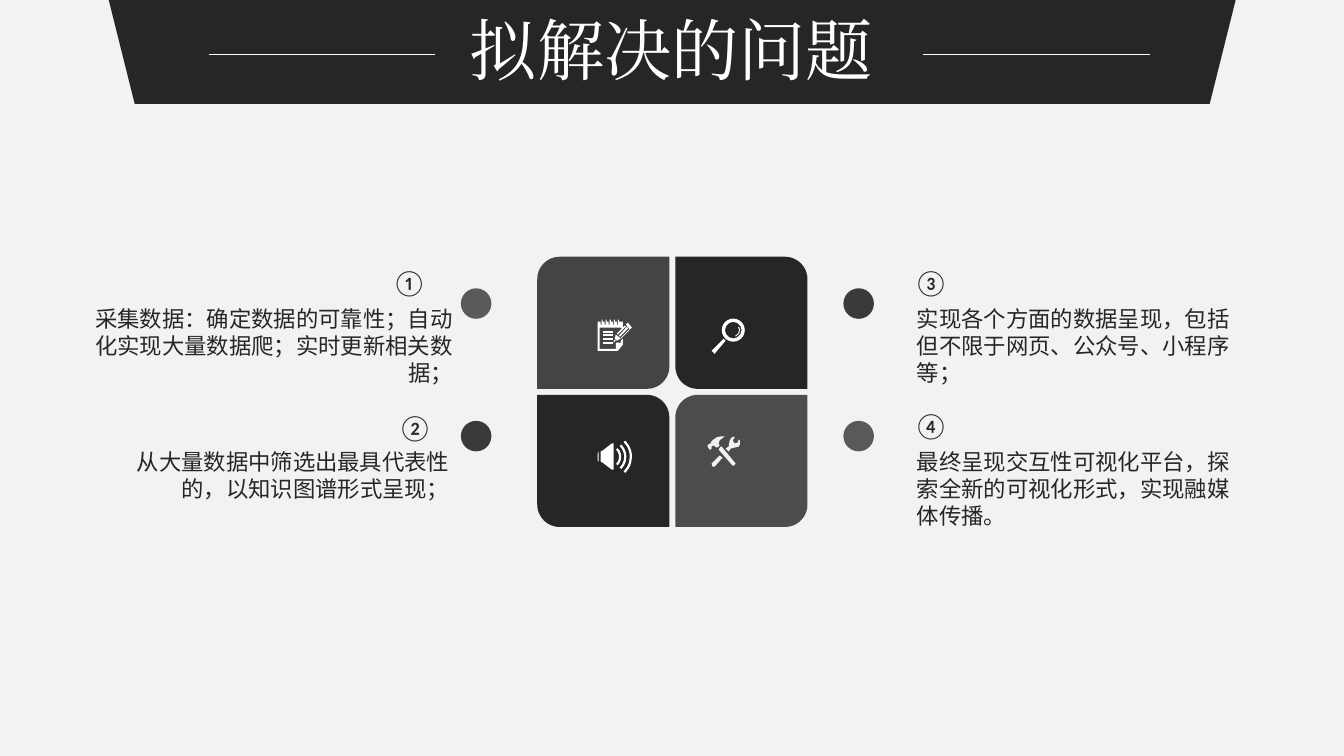
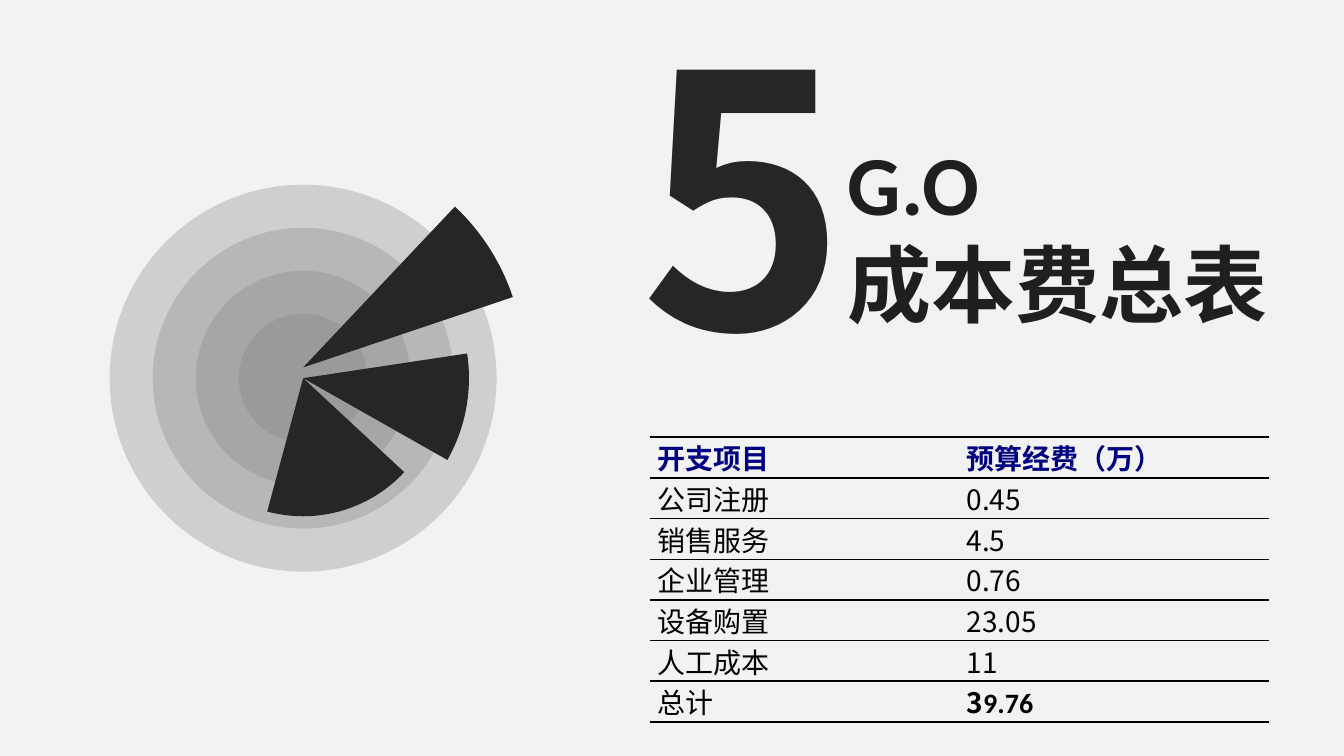
from dataclasses import dataclass
from typing import Optional

from lxml.etree import SubElement
from pptx import Presentation
from pptx.dml.color import RGBColor
from pptx.enum.shapes import MSO_CONNECTOR, MSO_SHAPE
from pptx.enum.text import MSO_ANCHOR, PP_ALIGN
from pptx.oxml import parse_xml
from pptx.oxml.ns import nsdecls, qn
from pptx.util import Cm, Pt

DARK = RGBColor(0x26, 0x26, 0x26)
INK = RGBColor(0x1F, 0x1F, 0x1F)
PALE = RGBColor(0xF2, 0xF2, 0xF2)
WHITE = RGBColor(0xFF, 0xFF, 0xFF)
BLACK = RGBColor(0, 0, 0)
GRAY = RGBColor(0x80, 0x80, 0x80)
NAVY = RGBColor(0, 0, 0x80)

SANS, HAN, SERIF = "Calibri", "Noto Sans CJK SC", "Times New Roman"
GRID = Cm(0.0254)  # one step of the icon drawings
TURN = 0.6  # adjustment value of one degree


@dataclass
class Font:
    size: float
    color: RGBColor
    name: str = SANS
    bold: bool = False


@dataclass
class Note:
    mark: str
    text: str
    left: float
    top: float
    width: float
    mark_x: float
    mark_y: float
    align: PP_ALIGN


@dataclass
class Icon:
    x: int
    y: int
    loops: list
    color: RGBColor = WHITE


@dataclass
class Slice:
    y: float
    size: float
    start: float
    end: float


# Slide content
BODY = Font(16, DARK)
MARK = Font(18.6, DARK)
LEFT, RIGHT = PP_ALIGN.LEFT, PP_ALIGN.RIGHT
NOTES = [
    Note("①", "采集数据：确定数据的可靠性；自动化实现大量数据爬；实时更新相关数据；",
         2.08, 7.57, 9.58, 5.49, 6.58, RIGHT),
    Note("②", "从大量数据中筛选出最具代表性的，以知识图谱形式呈现；",
         2.74, 11.18, 8.84, 5.64, 10.24, RIGHT),
    Note("③", "实现各个方面的数据呈现，包括但不限于网页、公众号、小程序等；",
         22.86, 7.57, 8.84, 22.78, 6.58, LEFT),
    Note("④", "最终呈现交互性可视化平台，探索全新的可视化形式，实现融媒体传播。",
         22.86, 11.18, 8.84, 22.78, 10.19, LEFT),
]
COSTS = [("开支项目", "预算经费（万）"), ("公司注册", "0.45"), ("销售服务", "4.5"),
         ("企业管理", "0.76"), ("设备购置", "23.05"), ("人工成本", "11"),
         ("总计", "39.76")]
EDGES = [1.5, 1, 1, 1, 1, 1, 1.5, 1]
SLICES = [Slice(9.26, 11.15, 313.35, 341.45), Slice(9.53, 8.36, 351.45, 29.55),
          Slice(9.53, 6.96, 42.89, 105.07)]

# Icon outlines, in grid steps from each icon's corner
TEETH = [(x + dx, y) for x in (20, 16, 12, 8, 4)
         for dx, y in ((1, 2), (1, 5), (1, 0), (0, 0), (0, 5), (-1, 5), (-1, 2))]
PAGE = [(23, 23), (18, 23), (18, 29), (2, 29), (2, 8), (23, 8), (23, 9), (25, 8),
        (25, 2), *TEETH, (0, 2), (0, 31), (20, 31), (25, 25), (25, 19), (23, 21)]
RULES = [[(5, y), (15, y), (15, y + 2), (5, y + 2)] for y in (11, 14, 18, 22)]
PENCIL = [
    [(23, 18), (23, 19), (32, 10), (31, 10)],
    [(29, 7), (21, 16), (22, 17), (30, 9)],
    [(19, 14), (20, 15), (28, 7), (27, 6)],
    [(23, 19), (18, 15), (17, 19), (19, 21)],
    [(15, 23), (18, 21), (17, 20)],
    [(30, 3), (28, 5), (32, 10), (34, 8)],
]
HORN = [
    [(14, 3), (5, 10), (3, 11), (3, 21), (5, 22), (14, 29), (16, 29), (16, 3)],
    [(0, 13), (0, 20), (1, 21), (1, 11)],
]
TOOLS = [
    [(5, 10), (7, 9), (10, 11), (11, 11), (13, 9), (12, 7), (13, 4), (18, 0),
     (14, 0), (10, 1), (7, 3), (5, 5), (4, 7), (2, 8), (1, 9), (1, 10), (3, 13),
     (4, 13), (5, 12)],
    [(15, 10), (14, 10), (12, 13), (26, 29), (27, 29), (29, 27)],
    [(33, 4), (32, 3), (31, 6), (28, 7), (26, 4), (28, 1), (28, 0), (25, 1),
     (23, 4), (22, 10), (19, 12), (22, 15), (24, 12), (28, 11), (32, 10), (33, 8)],
    [(5, 27), (6, 30), (8, 30), (16, 21), (13, 19)],
]
ICONS = [
    Icon(593, 317, [PAGE, *RULES, *PENCIL]),
    Icon(706, 316, [[(0, 32), (3, 35), (14, 22), (12, 20)]]),
    Icon(593, 437, HORN),
    Icon(701, 433, TOOLS, PALE),
]


# Drawing helpers
def paint(shape, color: RGBColor, alpha: int = 100) -> None:
    shape.shadow.inherit = False
    shape.fill.solid()
    shape.fill.fore_color.rgb = color
    shape.line.fill.background()
    if alpha < 100:
        tone = shape._element.spPr.find(qn("a:solidFill"))[0]
        SubElement(tone, qn("a:alpha")).set("val", str(alpha * 1000))


def block(slide, kind: MSO_SHAPE, left: float, top: float, width: float,
          height: float, color: RGBColor = DARK, alpha: int = 100):
    shape = slide.shapes.add_shape(kind, Cm(left), Cm(top), Cm(width), Cm(height))
    paint(shape, color, alpha)
    return shape


def disc(slide, kind: MSO_SHAPE, x: float, y: float, size: float,
         color: RGBColor = DARK, alpha: int = 100):
    """Draw a round shape about its centre."""
    return block(slide, kind, x - size / 2, y - size / 2, size, size, color, alpha)


def sweep(shape, start: float, end: float) -> None:
    shape.adjustments[0] = start * TURN
    shape.adjustments[1] = end * TURN


def arc(slide, x: float, y: float, size: float, start: float, end: float,
        width: float) -> None:
    shape = disc(slide, MSO_SHAPE.ARC, x, y, size)
    sweep(shape, start, end)
    shape.fill.background()
    shape.line.color.rgb = WHITE
    shape.line.width = Pt(width)


def style(run, font: Font) -> None:
    run.font.size = Pt(font.size)
    run.font.bold = font.bold
    run.font.name = font.name
    run.font.color.rgb = font.color
    props = run._r.get_or_add_rPr()
    east = SubElement(props, qn("a:ea"))
    east.set("typeface", font.name)
    props.find(qn("a:latin")).addnext(east)


def write(slide, text: str, left: float, top: float, width: float, height: float,
          font: Font, align: PP_ALIGN = LEFT, space: Optional[float] = None,
          anchor: MSO_ANCHOR = MSO_ANCHOR.TOP) -> None:
    box = slide.shapes.add_textbox(Cm(left), Cm(top), Cm(width), Cm(height))
    frame = box.text_frame
    frame.word_wrap = True
    frame.vertical_anchor = anchor
    frame.text = text
    for para in frame.paragraphs:
        para.alignment = align
        if space:
            para.line_spacing = space
        for run in para.runs:
            style(run, font)


def draw(slide, icon: Icon) -> None:
    for loop in icon.loops:
        spots = [(icon.x + x, icon.y + y) for x, y in loop]
        pen = slide.shapes.build_freeform(*spots[0], scale=GRID)
        pen.add_line_segments(spots[1:], close=True)
        paint(pen.convert_to_shape(), icon.color)


def rule(slide, left: float, right: float, y: float) -> None:
    line = slide.shapes.add_connector(
        MSO_CONNECTOR.STRAIGHT, Cm(left), Cm(y), Cm(right), Cm(y))
    line.line.color.rgb = WHITE
    line.line.width = Pt(0.5)
    SubElement(line._element.spPr, qn("a:effectLst"))


def border(cell, top: float, base: float) -> None:
    props = cell._tc.get_or_add_tcPr()
    for spot, (side, width) in enumerate(
            (("L", 0), ("R", 0), ("T", top), ("B", base))):
        ink = (f'<a:solidFill><a:srgbClr val="{BLACK}"/></a:solidFill>'
               if width else "<a:noFill/>")
        props.insert(spot, parse_xml(
            f'<a:ln{side} {nsdecls("a")} w="{Pt(width)}">{ink}</a:ln{side}>'))


def start(deck):
    slide = deck.slides.add_slide(deck.slide_layouts[6])
    slide.background.fill.solid()
    slide.background.fill.fore_color.rgb = PALE
    return slide


# Slide 1: problems to solve
def issues(deck) -> None:
    slide = start(deck)
    for i, alpha in enumerate((85, 100, 100, 81)):
        row, col = divmod(i, 2)
        tile = block(slide, MSO_SHAPE.ROUND_2_DIAG_RECTANGLE, 13.54 + 3.48 * col,
                     6.47 + 3.48 * row, 3.33, 3.33, DARK, alpha)
        tile.adjustments[row ^ col] = 0.17
        tile.adjustments[1 - (row ^ col)] = 0
    for icon in ICONS:
        draw(slide, icon)
    # Lens and sound waves
    lens = disc(slide, MSO_SHAPE.DONUT, 18.48, 8.32, 0.58, WHITE)
    lens.adjustments[0] = 0.14
    arc(slide, 18.48, 8.32, 0.32, 330, 70, 0.75)
    for size in (0.56, 0.82, 1.1):
        arc(slide, 15.35, 11.51, size, 315, 45, 1.6)
    # Title band
    band = block(slide, MSO_SHAPE.TRAPEZOID, 2.74, 0, 28.4, 2.62)
    band.rotation = 180
    write(slide, "拟解决的问题", 7.11, 0.3, 19.63, 2.11, Font(48, WHITE, SERIF),
          PP_ALIGN.CENTER, 0.9, MSO_ANCHOR.MIDDLE)
    for left in (5.26, 23.27):
        rule(slide, left, left + 5.71, 1.37)
    # Dots and notes
    for i, alpha in enumerate((74, 90, 90, 75)):
        col, row = divmod(i, 2)
        disc(slide, MSO_SHAPE.OVAL, 12 + 9.64 * col, 7.65 + 3.34 * row, 0.77,
             DARK, alpha)
    for note in NOTES:
        write(slide, note.text, note.left, note.top, note.width, 2.31, BODY, note.align)
        write(slide, note.mark, note.mark_x, note.mark_y, 5.51, 1.04, MARK, note.align)


# Slide 2: cost table
def costs(deck) -> None:
    slide = start(deck)
    frame = slide.shapes.add_table(
        len(COSTS), 2, Cm(16.38), Cm(11.02), Cm(15.6), Cm(6.68))
    table = frame.table
    table.first_row = table.horz_banding = False
    for i, row in enumerate(COSTS):
        for j, text in enumerate(row):
            cell = table.cell(i, j)
            cell.fill.background()
            cell.margin_left = cell.margin_right = Cm(0.18)
            cell.margin_top = cell.margin_bottom = 0
            border(cell, EDGES[i], EDGES[i + 1])
            cell.text_frame.text = text
            head = i == 0
            style(cell.text_frame.paragraphs[0].runs[0],
                  Font(20, NAVY if head else BLACK, HAN, head))
    # The total mixes two fonts
    para = table.cell(len(COSTS) - 1, 1).text_frame.paragraphs[0]
    total = para.runs[0].text
    para.text = total[0]
    para.add_run().text = total[1:]
    for run, name in zip(para.runs, (HAN, SANS)):
        style(run, Font(20, BLACK, name, True))
    # Heading
    write(slide, "G.O\n成本费总表", 21.11, 3.2, 11.46, 5.38, Font(60, INK, SANS, True))
    write(slide, "5", 15.9, -0.69, 6.38, 10.95, Font(250, DARK, HAN, True),
          anchor=MSO_ANCHOR.MIDDLE)
    # Rings and slices
    for i in range(4):
        disc(slide, MSO_SHAPE.OVAL, 7.64, 9.53, 9.75 - 2.17 * i, GRAY, 30)
    for wedge in SLICES:
        sweep(disc(slide, MSO_SHAPE.PIE, 7.64, wedge.y, wedge.size),
              wedge.start, wedge.end)


def main() -> None:
    deck = Presentation()
    deck.slide_width, deck.slide_height = Cm(33.87), Cm(19.05)
    issues(deck)
    costs(deck)
    deck.save("out.pptx")


if __name__ == "__main__":
    main()
